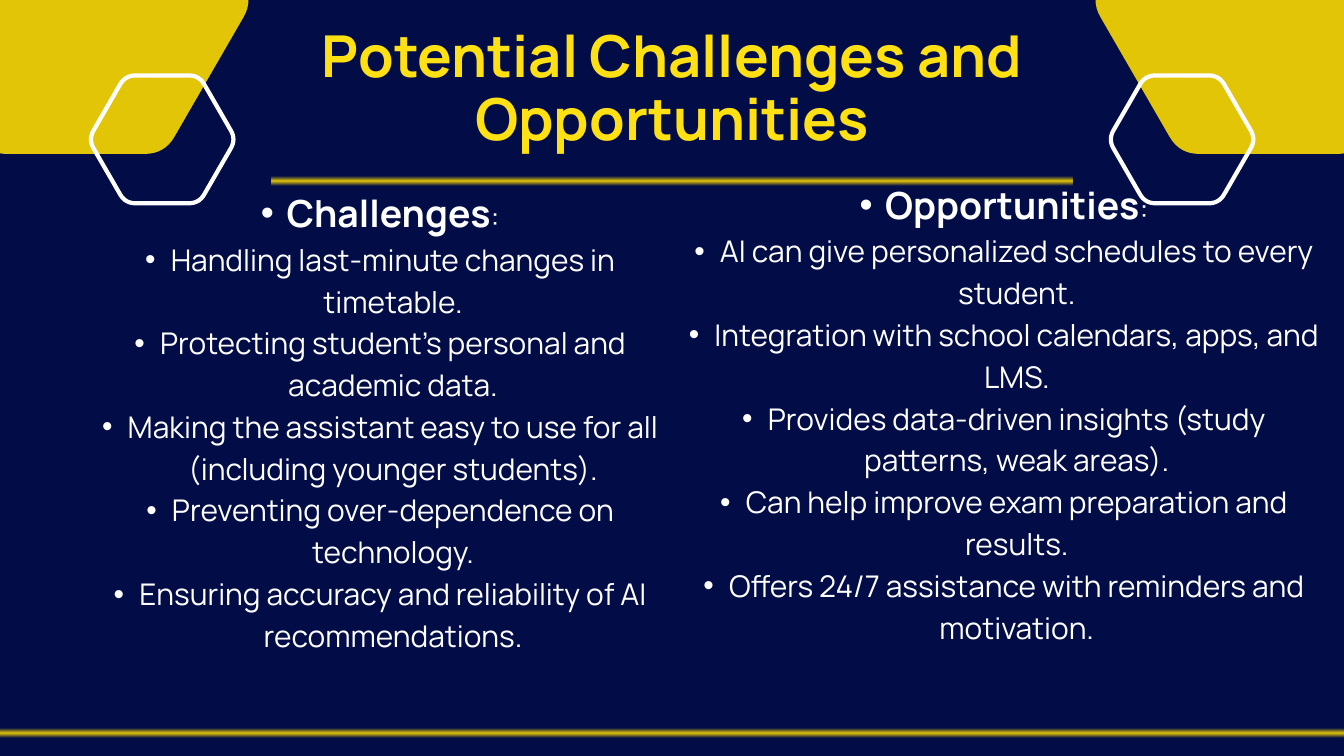
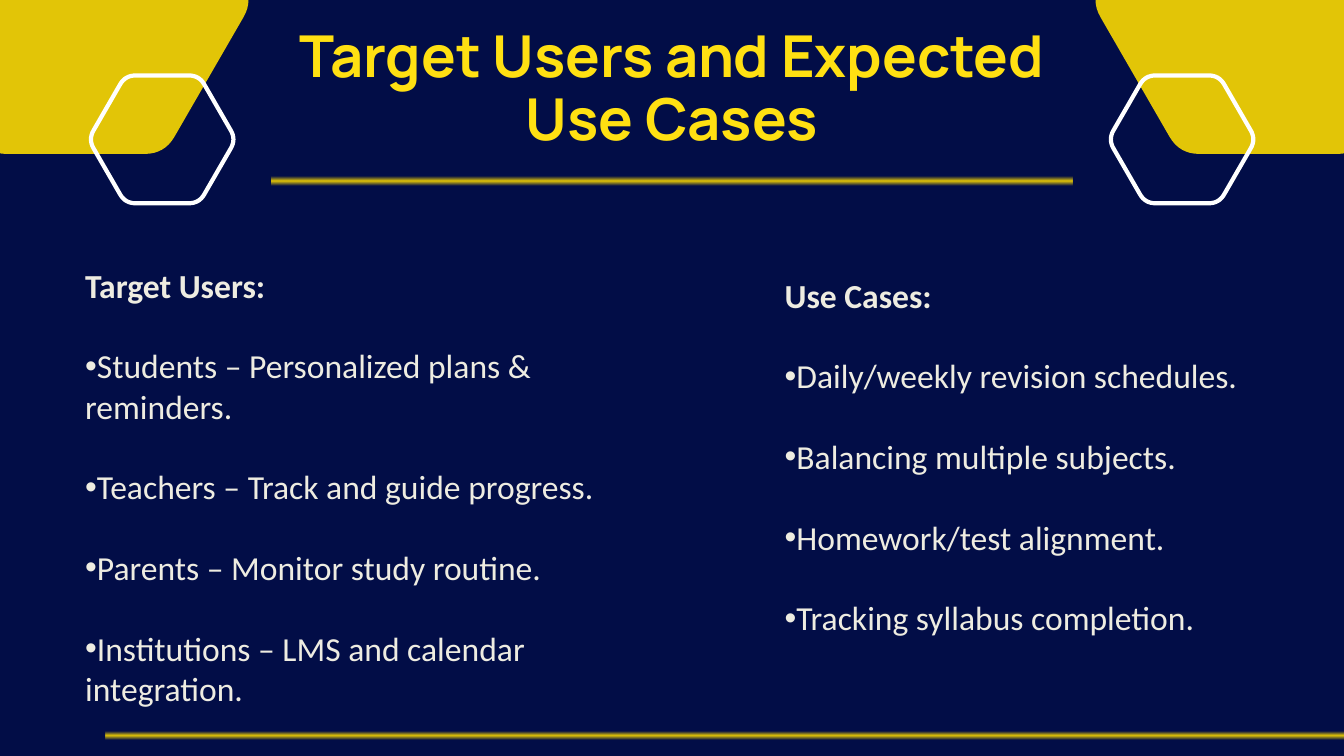
from math import cos, radians, sin

from lxml import etree
from pptx import Presentation
from pptx.dml.color import RGBColor
from pptx.enum.shapes import MSO_SHAPE
from pptx.enum.text import PP_ALIGN
from pptx.oxml.ns import qn
from pptx.util import Cm, Pt

RECTANGLE = MSO_SHAPE.RECTANGLE
CENTER = PP_ALIGN.CENTER
LEFT = PP_ALIGN.LEFT

COLORS = {
    "navy": "020D47",
    "title": "FFE012",
    "gold": "E2C507",
    "white": "FFFFFF",
    "cream": "EEECE1",
}
SLIDE_WIDTH, SLIDE_HEIGHT = 50.8, 28.58
RULE_HEIGHT = 0.33
ARC_STEPS = 8


def rounded_hexagon(center_x, center_y, radius, cut):
    """Outline points in cm; each corner is a curve starting `cut` before it."""
    corners = [(center_x + radius * cos(radians(60 * i)),
                center_y + radius * sin(radians(60 * i))) for i in range(6)]
    share = cut / radius
    points = []
    for i, corner in enumerate(corners):
        before, after = corners[i - 1], corners[(i + 1) % 6]
        start = [c + (b - c) * share for c, b in zip(corner, before)]
        end = [c + (a - c) * share for c, a in zip(corner, after)]
        for step in range(ARC_STEPS + 1):
            t = step / ARC_STEPS
            points.append(tuple(
                Cm((1 - t) ** 2 * s + 2 * t * (1 - t) * c + t ** 2 * e)
                for s, c, e in zip(start, corner, end)))
    return points


class Deck:
    def __init__(self):
        self.presentation = Presentation()
        self.presentation.slide_width = Cm(SLIDE_WIDTH)
        self.presentation.slide_height = Cm(SLIDE_HEIGHT)
        self.slide = None

    def color(self, name):
        return RGBColor.from_string(COLORS[name])

    def start_slide(self, title, footer_left, footer_top):
        layout = self.presentation.slide_layouts[6]
        self.slide = self.presentation.slides.add_slide(layout)
        background = self.slide.background.fill
        background.solid()
        background.fore_color.rgb = self.color("navy")

        heading = self.text_frame(9.63, 0.97, 31.55, 5, inset=0)
        paragraph = heading.paragraphs[0]
        paragraph.alignment = CENTER
        paragraph.line_spacing = Pt(68)
        self.run(paragraph, title, 61.9, "Manrope", "title", bold=True)

        for center_x in (2.86, SLIDE_WIDTH - 2.86):
            self.hexagon(center_x, 0, 6.72, 0.75, fill="gold")
        for center_x in (6.13, 44.68):
            self.hexagon(center_x, 5.27, 2.79, 0.39, outline="white")
        self.glowing_rule(10.26, 6.69, 30.28)
        self.glowing_rule(footer_left, footer_top, SLIDE_WIDTH)

    def hexagon(self, center_x, center_y, radius, cut, fill=None, outline=None):
        points = rounded_hexagon(center_x, center_y, radius, cut)
        builder = self.slide.shapes.build_freeform(*points[0])
        builder.add_line_segments(points[1:], close=True)
        shape = builder.convert_to_shape()
        shape.shadow.inherit = False
        if fill:
            shape.fill.solid()
            shape.fill.fore_color.rgb = self.color(fill)
        else:
            shape.fill.background()
        if outline:
            shape.line.color.rgb = self.color(outline)
            shape.line.width = Pt(4.5)
        else:
            shape.line.fill.background()

    def glowing_rule(self, left, top, width):
        """Gold bar that fades out at its upper and lower edge."""
        bar = self.slide.shapes.add_shape(
            RECTANGLE, Cm(left), Cm(top), Cm(width), Cm(RULE_HEIGHT))
        bar.shadow.inherit = False
        bar.line.fill.background()
        bar.fill.gradient()
        bar.fill.gradient_angle = 90
        stops = next(bar.element.iter(qn("a:gsLst")))
        for stop in list(stops):
            stops.remove(stop)
        for position, alpha in ((0, 0), (50, 100), (100, 0)):
            stop = etree.SubElement(stops, qn("a:gs"), pos=str(position * 1000))
            gold = etree.SubElement(stop, qn("a:srgbClr"), val=COLORS["gold"])
            etree.SubElement(gold, qn("a:alpha"), val=str(alpha * 1000))

    def text_frame(self, left, top, width, height, inset=None):
        box = self.slide.shapes.add_textbox(Cm(left), Cm(top), Cm(width), Cm(height))
        frame = box.text_frame
        frame.word_wrap = True
        if inset is not None:
            frame.margin_left = frame.margin_right = Cm(inset)
            frame.margin_top = frame.margin_bottom = Cm(inset)
        return frame

    def run(self, paragraph, text, size, font, color, bold=False):
        run = paragraph.add_run()
        run.text = text
        run.font.size = Pt(size)
        run.font.name = font
        run.font.bold = bold
        run.font.color.rgb = self.color(color)

    def bullet(self, paragraph, margin=0, hanging=0):
        properties = paragraph._p.get_or_add_pPr()
        properties.set("marL", str(Cm(margin)))
        properties.set("indent", str(-Cm(hanging)))
        etree.SubElement(properties, qn("a:buFont"), typeface="Arial")
        etree.SubElement(properties, qn("a:buChar"), char="•")

    def centered_list(self, frame, heading, points):
        for i, text in enumerate([heading] + points):
            paragraph = frame.add_paragraph() if i else frame.paragraphs[0]
            paragraph.alignment = CENTER
            paragraph.level = 1
            paragraph.line_spacing = Pt(44.8)
            self.bullet(paragraph, 1.93, 0.97)
            if i == 0:
                self.run(paragraph, text, 40, "Manrope", "white", bold=True)
                text = ":"
            self.run(paragraph, text, 32, "Manrope", "white")

    def spaced_list(self, frame, heading, points):
        for i, text in enumerate([heading] + points):
            paragraph = frame.add_paragraph() if i else frame.paragraphs[0]
            paragraph.alignment = LEFT
            if i:
                paragraph.space_before = Pt(43.2)
                self.bullet(paragraph)
            self.run(paragraph, text, 36, "Calibri", "cream", bold=i == 0)


def challenges_slide(deck):
    deck.start_slide("Potential Challenges and Opportunities", 0, 27.56)
    challenges = deck.text_frame(2.34, 7.32, 23.11, 19.15, inset=0)
    deck.centered_list(challenges, "Challenges", [
        "Handling last-minute changes in timetable.",
        "Protecting student’s personal and academic data.",
        "Making the assistant easy to use for all (including younger students).",
        "Preventing over-dependence on technology.",
        "Ensuring accuracy and reliability of AI recommendations.",
    ])
    opportunities = deck.text_frame(24.77, 6.88, 25.4, 20.88)
    deck.centered_list(opportunities, "Opportunities", [
        "AI can give personalized schedules to every student.",
        "Integration with school calendars, apps, and LMS.",
        "Provides data-driven insights (study patterns, weak areas).",
        "Can help improve exam preparation and results.",
        "Offers 24/7 assistance with reminders and motivation.",
    ])


def users_slide(deck):
    deck.start_slide("Target Users and Expected Use Cases", 3.99, 27.64)
    users = deck.text_frame(2.97, 9.88, 20.04, 18.72)
    deck.spaced_list(users, "Target Users:", [
        "Students – Personalized plans & reminders.",
        "Teachers – Track and guide progress.",
        "Parents – Monitor study routine.",
        "Institutions – LMS and calendar integration.",
    ])
    use_cases = deck.text_frame(29.41, 10.26, 25.4, 14.1)
    deck.spaced_list(use_cases, "Use Cases:", [
        "Daily/weekly revision schedules.",
        "Balancing multiple subjects.",
        "Homework/test alignment.",
        "Tracking syllabus completion.",
    ])


def main():
    deck = Deck()
    challenges_slide(deck)
    users_slide(deck)
    deck.presentation.save("out.pptx")


if __name__ == "__main__":
    main()
